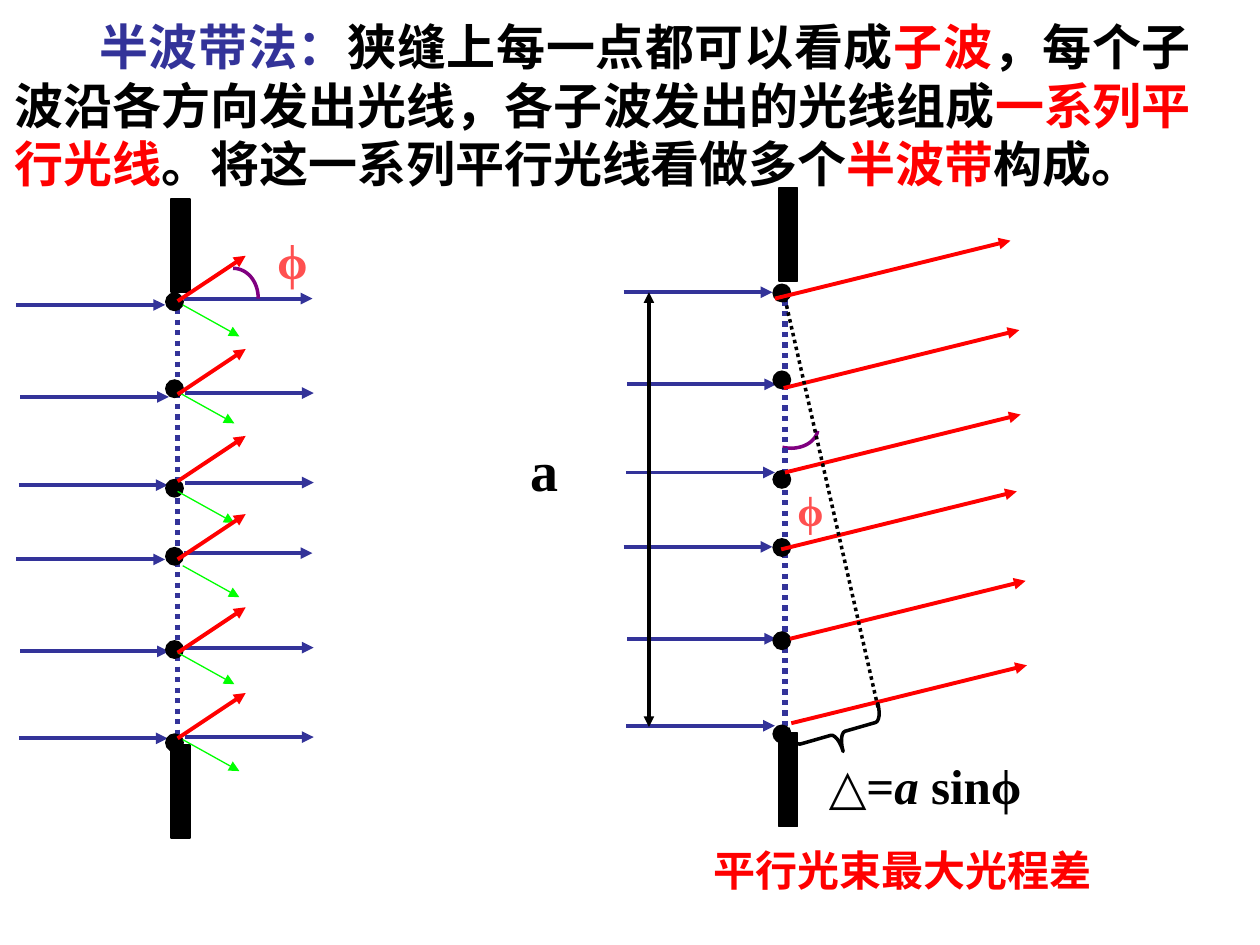
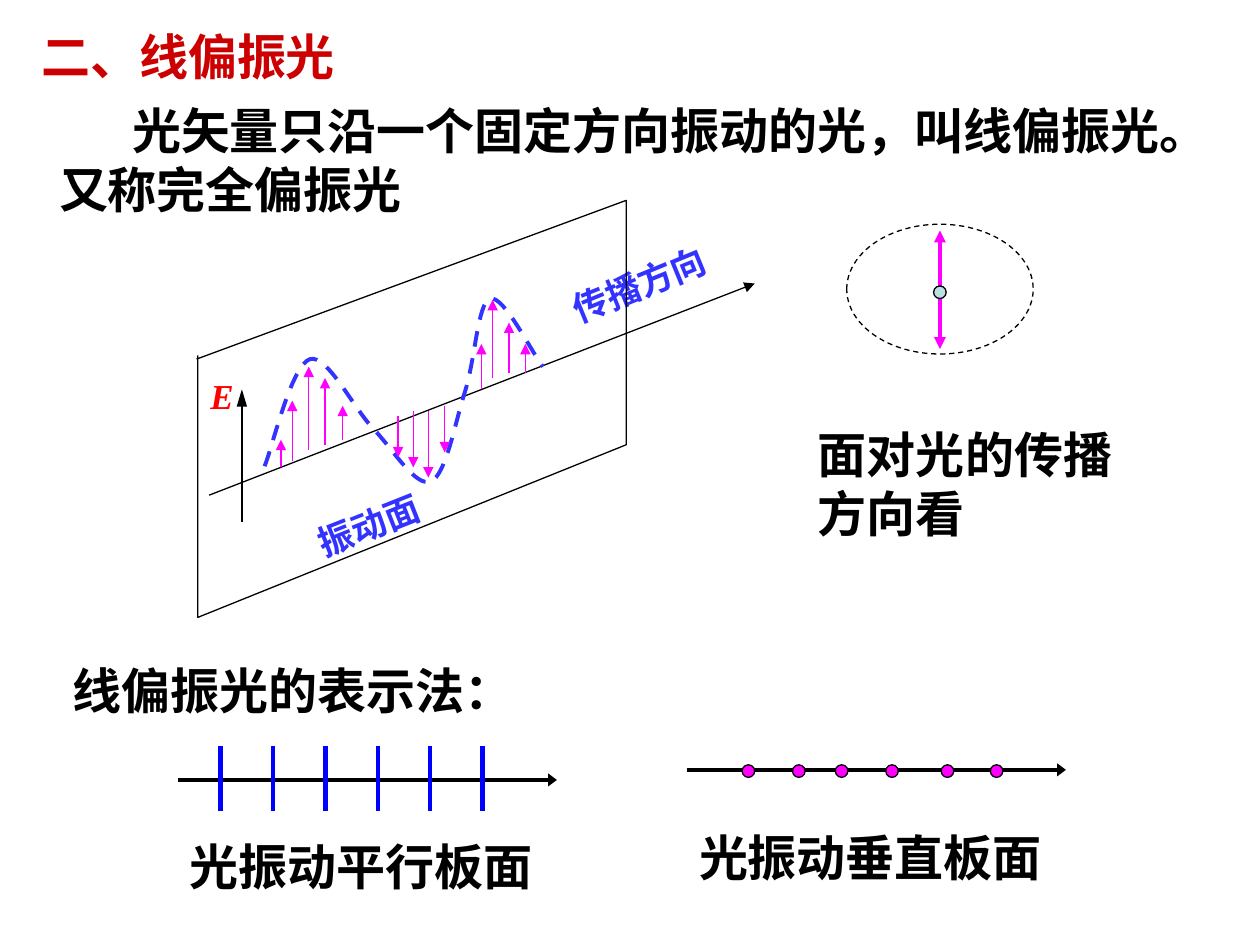
"""Build two optics slides: half-wave zones and linearly polarised light."""
import dataclasses

import pptx
import pptx.dml.color
import pptx.enum.dml
import pptx.enum.shapes
import pptx.enum.text
import pptx.oxml.ns
import pptx.oxml.xmlchemy
import pptx.util

SHAPE = pptx.enum.shapes.MSO_SHAPE
DASH = pptx.enum.dml.MSO_LINE
ALIGN = pptx.enum.text.PP_ALIGN


@dataclasses.dataclass(frozen=True)
class Theme:
    black: str = "000000"
    red: str = "FF0000"
    title: str = "CC0000"
    coral: str = "FF5050"
    navy: str = "333399"
    blue: str = "3333FF"
    tick: str = "0000FF"
    green: str = "00FF00"
    pink: str = "FF00FF"
    purple: str = "800080"
    pale: str = "BBE0E3"
    latin: str = "Times New Roman"
    asian: str = "Noto Sans CJK SC"
    small: float = 20
    mid: float = 24
    body: float = 28
    large: float = 32
    hair: float = 0.75
    thin: float = 1.5
    firm: float = 2
    ray: float = 2.25
    axis: float = 2.5
    dots: float = 3
    inch: float = 2.54


T = Theme()


def cm(value):
    return pptx.util.Cm(value * T.inch)


def color(code):
    return pptx.dml.color.RGBColor.from_string(code)


def stroke(line, code, width, dash=None):
    line.color.rgb = color(code)
    line.width = pptx.util.Pt(width)
    if dash is not None:
        line.dash_style = dash


def line(slide, start, end, code, width, dash=None, head=False, tail=False, length="med"):
    item = slide.shapes.add_connector(
        pptx.enum.shapes.MSO_CONNECTOR.STRAIGHT, *map(cm, (*start, *end)))
    stroke(item.line, code, width, dash)
    props = item._element.spPr
    props.append(pptx.oxml.xmlchemy.OxmlElement("a:effectLst"))
    for tag, shown in (("a:headEnd", head), ("a:tailEnd", tail)):
        if shown:
            tip = pptx.oxml.xmlchemy.OxmlElement(tag)
            tip.set("type", "triangle")
            tip.set("len", length)
            props.find(pptx.oxml.ns.qn("a:ln")).append(tip)


def finish(item, fill, code, width, dash):
    item.shadow.inherit = False
    if fill:
        item.fill.solid()
        item.fill.fore_color.rgb = color(fill)
    else:
        item.fill.background()
    if code:
        stroke(item.line, code, width, dash)
    else:
        item.line.fill.background()


def shape(slide, kind, box, fill=None, code=None, width=T.hair, dash=None):
    item = slide.shapes.add_shape(kind, *map(cm, box))
    finish(item, fill, code, width, dash)
    return item


def path(slide, points, code, width, dash=None):
    spots = [(cm(x), cm(y)) for x, y in points]
    pen = slide.shapes.build_freeform(*spots[0])
    pen.add_line_segments(spots[1:], close=False)
    finish(pen.convert_to_shape(), None, code, width, dash)


def curve(points, steps=16):
    """Sample a chain of cubic curves given as start, then two controls and an end."""
    spots = [points[0]]
    for i in range(0, len(points) - 1, 3):
        for k in range(1, steps + 1):
            t = k / steps
            s = 1 - t
            rates = (s ** 3, 3 * s * s * t, 3 * s * t * t, t ** 3)
            spots.append(tuple(sum(r * p[axis] for r, p in zip(rates, points[i:i + 4]))
                               for axis in (0, 1)))
    return spots


def text(slide, box, runs, size=T.body, code=T.black, align=ALIGN.LEFT,
         wrap=True, inset=None, indent=0, turn=0):
    item = slide.shapes.add_textbox(*map(cm, box))
    item.rotation = turn
    frame = item.text_frame
    frame.word_wrap = wrap
    if inset is not None:
        frame.margin_left = frame.margin_right = cm(inset)
        frame.margin_top = frame.margin_bottom = cm(inset)
    para = frame.paragraphs[0]
    para.alignment = align
    if indent:
        para._p.get_or_add_pPr().set("indent", str(cm(indent)))
    for words, style in ([(runs, {})] if isinstance(runs, str) else runs):
        run = para.add_run()
        run.text = words
        font = run.font
        font.size, font.bold = pptx.util.Pt(size), True
        font.italic = style.get("italic", False)
        font.color.rgb = color(style.get("code", code))
        font.name = T.latin
        asian = pptx.oxml.xmlchemy.OxmlElement("a:ea")
        asian.set("typeface", T.asian)
        run._r.get_or_add_rPr().append(asian)


def slit(slide, left, top, dot, ray):
    """Draw a slit with its two walls, six point sources and incoming rays."""
    for shift, y in zip((0, 0.03, 0.02) * 2, (0, 0.73, 1.43, 2.02, 2.75, 3.44)):
        x = left - 1.23 + shift
        line(slide, (x, ray + y), (x + 1.18, ray + y), T.navy, T.ray, tail=True)
    for y in (top, top + 4.33):
        shape(slide, SHAPE.RECTANGLE, (left, y, 0.15, 0.74), T.black, T.black, 1)
    line(slide, (left + 0.05, dot + 0.05), (left + 0.05, dot + 3.59),
         T.navy, T.dots, DASH.ROUND_DOT)
    for y in (0, 0.69, 1.48, 2.02, 2.76, 3.5):
        shape(slide, SHAPE.OVAL, (left - 0.05, dot + y, 0.15, 0.15), T.black)


def fan(slide, starts, reach, rise, code, width):
    """Draw parallel arrows from the given starts."""
    for x, y in starts:
        line(slide, (x, y), (x + reach, y + rise), code, width, tail=True)


def zones(slide):
    fan(slide, zip((1.46, 1.47, 1.47) * 2, (2.37, 3.12, 3.83, 4.39, 5.14, 5.85)),
        1.02, 0, T.navy, T.ray)
    slit(slide, 1.36, 1.58, 2.32, 2.42)
    fan(slide, zip((1.45, 1.41, 1.41) + (1.45, 1.41, 1.45),
                   (2.42, 3.11, 3.9, 4.49, 5.18, 5.87)), 0.45, 0.25, T.green, T.hair)
    fan(slide, [(1.41, y) for y in (2.39, 3.13, 3.82, 4.44, 5.18, 5.86)],
        0.54, -0.36, T.red, T.ray)
    path(slide, curve([(1.85, 2.13), (1.96, 2.13), (2.05, 2.23), (2.05, 2.37)]),
         T.purple, T.firm)
    text(slide, (2.1, 1.78, 0.44, 0.57), "ϕ", code=T.coral, align=ALIGN.CENTER, wrap=False)

    path(slide, curve([(6.49, 3.42), (6.47, 3.52), (6.34, 3.58), (6.21, 3.55)]),
         T.purple, T.firm)
    slit(slide, 6.18, 1.49, 2.25, 2.32)
    fan(slide, zip((6.15, 6.22, 6.23, 6.2, 6.27, 6.28),
                   (2.37, 3.08, 3.75, 4.36, 5.07, 5.74)), 1.87, -0.46, T.red, T.ray)
    line(slide, (6.23, 2.37), (6.97, 5.62), T.black, T.firm, DASH.ROUND_DOT)
    brace = shape(slide, SHAPE.RIGHT_BRACE, (6.5, 5.45, 0.3, 0.74), None, T.black, T.firm)
    brace.adjustments[0] = 0.2
    brace.rotation = 74
    line(slide, (5.15, 2.32), (5.15, 5.77), T.black, T.firm, head=True, tail=True)
    text(slide, (6.48, 5.95, 2.17, 0.57),
         [("△=", {}), ("a ", {"italic": True}), ("sinϕ", {})])
    text(slide, (6.23, 3.8, 1.18, 0.5), "ϕ", size=T.mid, code=T.coral)
    text(slide, (4.11, 3.41, 1.18, 0.63), "a", size=T.large)
    text(slide, (5, 6.65, 4.33, 0.5), "平行光束最大光程差", size=T.mid,
         code=T.red, align=ALIGN.CENTER)
    red = {"code": T.red}
    text(slide, (0.02, 0.08, 9.53, 1.51), [
        ("半波带法：", {"code": T.navy}), ("狭缝上每一点都可以看成", {}), ("子波", red),
        ("，每个子波沿各方向发出光线，各子波发出的光线组成", {}), ("一系列平行光线", red),
        ("。将这一系列平行光线看做多个", {}), ("半波带", red), ("构成。", {}),
    ], align=ALIGN.JUSTIFY, indent=0.67)


def wave(slide):
    """Draw the plane of vibration with the wave and its field arrows."""
    text(slide, (1.66, 2.96, 0.28, 0.26), [("E", {"italic": True})],
         size=T.small, code=T.red, inset=0.01)
    line(slide, (1.92, 3.09), (1.92, 4.14), T.black, T.thin, head=True, length="lg")
    text(slide, (4.48, 2.03, 1.41, 0.27), "传播方向", size=T.small, code=T.blue,
         inset=0.01, turn=337.6)
    line(slide, (1.66, 3.93), (5.99, 2.25), T.black, T.hair, tail=True)
    path(slide, [(1.56, 2.85), (4.97, 1.59), (4.97, 3.53), (1.57, 4.9), (1.57, 2.82)],
         T.black, T.hair)
    path(slide, curve([
        (2.1, 3.7), (2.16, 3.56), (2.31, 2.9), (2.46, 2.85),
        (2.6, 2.81), (2.81, 3.25), (2.97, 3.41), (3.13, 3.58), (3.3, 3.87), (3.42, 3.82),
        (3.54, 3.77), (3.61, 3.36), (3.69, 3.11), (3.77, 2.87), (3.79, 2.4), (3.89, 2.37),
        (4, 2.34), (4.22, 2.8), (4.31, 2.91)]), T.blue, T.ray, DASH.DASH)
    for x, base, tip in (
            (2.23, 3.71, 3.49), (2.32, 3.66, 3.18), (2.45, 3.57, 2.91), (2.58, 3.53, 3),
            (2.72, 3.49, 3.22), (3.16, 3.3, 3.63), (3.28, 3.26, 3.71), (3.4, 3.26, 3.79),
            (3.53, 3.22, 3.59), (3.82, 3.09, 2.73), (3.91, 3, 2.38), (4.04, 2.96, 2.56),
            (4.17, 2.96, 2.73)):
        line(slide, (x, base), (x, tip), T.pink, T.hair, tail=True)
    text(slide, (2.41, 3.95, 1.04, 0.43), "振动面", size=T.small, code=T.blue,
         wrap=False, turn=338.4)


def axis(slide, x, y):
    line(slide, (x, y), (x + 3.01, y), T.black, T.axis, tail=True, length="sm")


def bead(slide, x, y, fill):
    shape(slide, SHAPE.OVAL, (x, y, 0.1, 0.1), fill, T.black)


def linear(slide):
    text(slide, (0.23, 0.16, 2.55, 0.57), "二、线偏振光", code=T.title, wrap=False)
    text(slide, (0.37, 0.75, 9.59, 1.04),
         "光矢量只沿一个固定方向振动的光，叫线偏振光。又称完全偏振光", indent=0.58)
    wave(slide)
    line(slide, (7.46, 1.83), (7.46, 2.77), T.pink, T.ray, head=True, tail=True)
    bead(slide, 7.41, 2.27, T.pale)
    shape(slide, SHAPE.OVAL, (6.72, 1.78, 1.48, 1.03), None, T.black, dash=DASH.DASH)
    text(slide, (6.48, 3.36, 2.36, 1.13), "面对光的传播方向看", align=ALIGN.JUSTIFY, inset=0.01)
    text(slide, (0.48, 5.19, 3.92, 0.57), "线偏振光的表示法：", align=ALIGN.JUSTIFY)

    text(slide, (1.41, 6.59, 3.33, 0.58), "光振动平行板面", align=ALIGN.JUSTIFY)
    axis(slide, 1.41, 6.19)
    for i in range(6):
        x = 1.75 + i * 0.416
        line(slide, (x, 5.92), (x, 6.44), T.tick, T.axis)
    text(slide, (5.45, 6.52, 3.17, 0.67), "光振动垂直板面", align=ALIGN.JUSTIFY)
    axis(slide, 5.45, 6.11)
    for x in (5.89, 6.29, 6.63, 7.03, 7.47, 7.86):
        bead(slide, x, 6.07, T.pink)


def main():
    deck = pptx.Presentation()
    deck.slide_width, deck.slide_height = cm(10), cm(7.5)
    for draw in (zones, linear):
        draw(deck.slides.add_slide(deck.slide_layouts[6]))
    deck.save("out.pptx")


if __name__ == "__main__":
    main()
